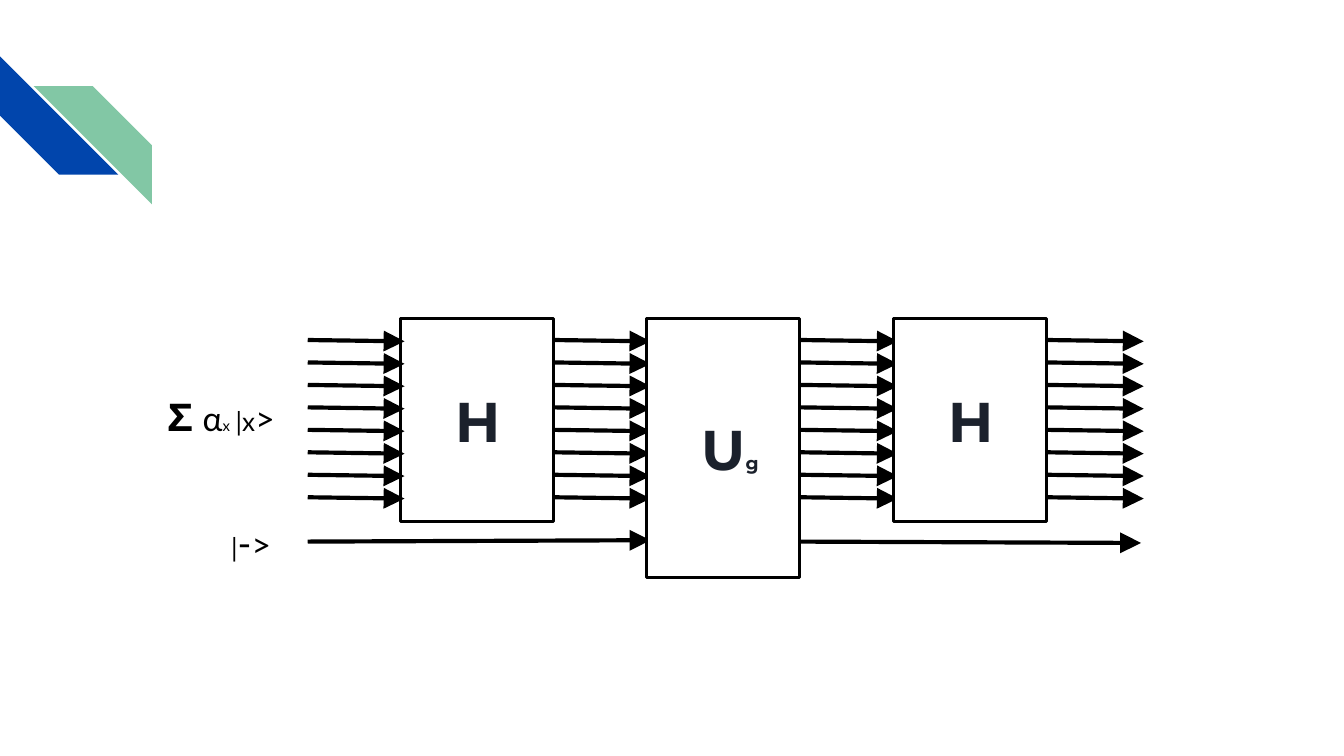
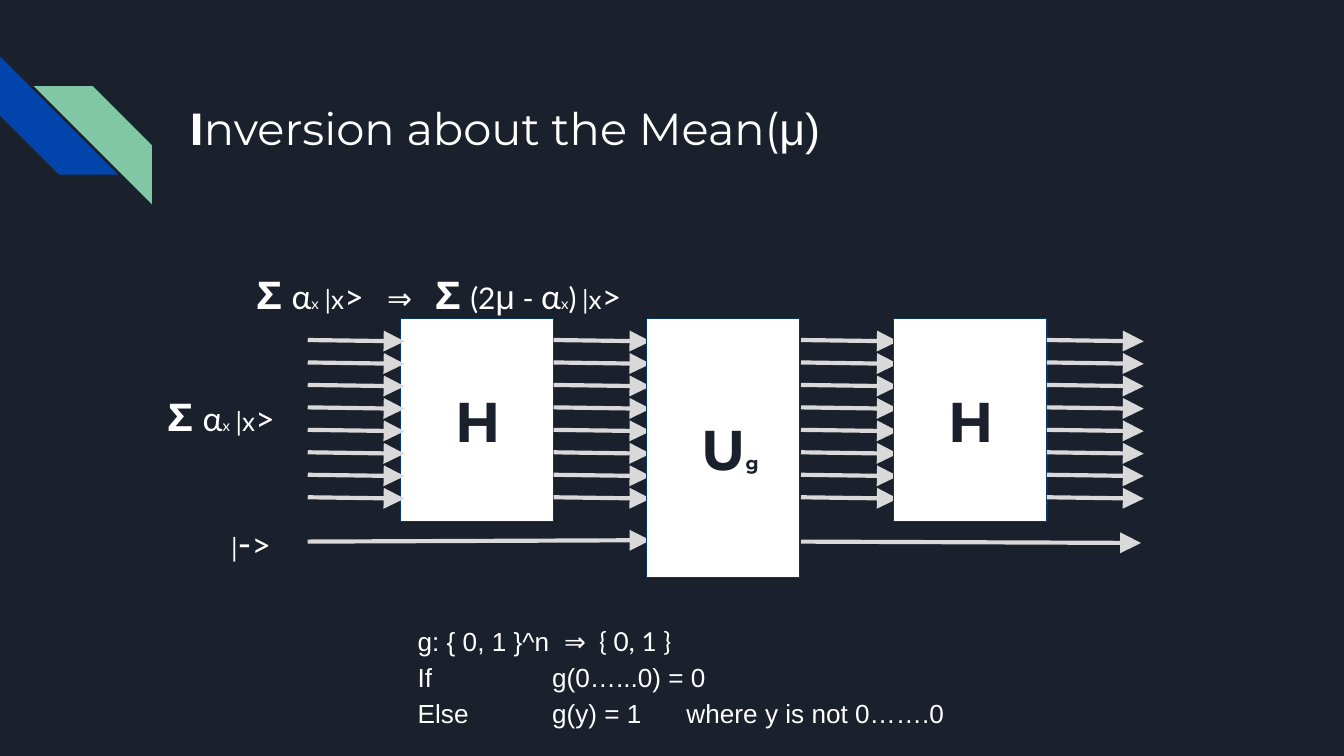
"""Builds two slides that show a quantum circuit for inversion about the mean."""
from lxml import etree
from pptx import Presentation
from pptx.dml.color import RGBColor
from pptx.enum.shapes import MSO_CONNECTOR, MSO_SHAPE
from pptx.enum.text import MSO_ANCHOR, PP_ALIGN
from pptx.oxml.ns import qn
from pptx.util import Inches, Pt

STRAIGHT = MSO_CONNECTOR.STRAIGHT
RECTANGLE, STRIPE = MSO_SHAPE.RECTANGLE, MSO_SHAPE.DIAGONAL_STRIPE
TOP, MIDDLE, LEFT = MSO_ANCHOR.TOP, MSO_ANCHOR.MIDDLE, PP_ALIGN.LEFT

COLORS = {"white": "FFFFFF", "black": "000000", "navy": "1B212C", "blue": "0145AC",
          "green": "82C7A5", "edge": "073763", "gray": "D9D9D9"}
LIGHT = {"page": "white", "text": "black", "wire": "black", "edge": "black", "edge_width": 1.5}
DARK = {"page": "navy", "text": "white", "wire": "gray", "edge": "edge", "edge_width": 0.75}

LATO, ARIAL, MONTSERRAT = "Lato", "Arial", "Montserrat"
KET = [(" ", 12, LATO), ("|x", 14, LATO), (">", 18, LATO)]
STATE = [("𝚺 ", 20, LATO), ("α", 18, LATO), ("x", 8, LATO)] + KET
MINUS = [(" ", 6, LATO), ("|", 14, LATO), ("-", 20, LATO), (">", 18, LATO)]
MAPPING = STATE + [
    ("\t⇒\t", 16, LATO), ("𝚺 ", 20, LATO), ("(2", 16, LATO), ("μ", 18, ARIAL),
    (" - ", 16, LATO), ("α", 18, LATO), ("x", 8, LATO), (")", 16, LATO)] + KET
TITLE = [("I", 24, MONTSERRAT, True), ("nversion about the Mean(", 24, MONTSERRAT),
         ("μ)", 24, ARIAL)]
RULES = [
    [("g: { 0, 1 }^n\t", 14, ARIAL), ("⇒\t{ 0, 1 }", 14, LATO)],
    [("If\tg(0…...0) = 0", 14, ARIAL)],
    [("Else\tg(y) = 1\twhere y is not 0…….0", 14, ARIAL)],
]
RULE_TABS = [(1.09, 1.35), (1, 2), (1, 2)]

H_LABEL = [("H", 30, MONTSERRAT, True)]
U_LABEL = [("U", 30, MONTSERRAT, True), ("g", 10, MONTSERRAT, True)]
GATE_TOP, GATE_WIDTH, H_HEIGHT, U_HEIGHT = 2.37, 1.14, 1.51, 1.93
STAGES = [
    (2.98, H_HEIGHT, H_LABEL, (4.12, 2.29), (2.29, 4.03, 4.84, 4.02)),
    (4.81, U_HEIGHT, U_LABEL, (5.96,), (5.96, 4.03, 8.49, 4.04)),
    (6.65, H_HEIGHT, H_LABEL, (7.79,), None),
]
WIRE_COUNT, WIRE_TOP, WIRE_LAST, WIRE_LENGTH, WIRE_DROP = 8, 2.53, 3.7, 0.72, 0.01


def rgb(name):
    return RGBColor.from_string(COLORS[name])


def write(shape, lines, color, anchor=TOP, inset=0.1, spacing=None, tabs=()):
    frame = shape.text_frame
    frame.word_wrap = True
    frame.vertical_anchor = anchor
    frame.margin_left = Inches(inset)
    frame.margin_right = frame.margin_top = frame.margin_bottom = Inches(0.1)
    for index, line in enumerate(lines):
        para = frame.add_paragraph() if index else frame.paragraphs[0]
        para.alignment = LEFT
        if spacing:
            para.line_spacing = spacing
        if tabs:
            stops = etree.SubElement(para._p.get_or_add_pPr(), qn("a:tabLst"))
            for position in tabs[index]:
                etree.SubElement(stops, qn("a:tab"), pos=str(Inches(position)), algn="l")
        for text, size, font, *bold in line:
            span = para.add_run()
            span.text = text
            span.font.size = Pt(size)
            span.font.name = font
            span.font.bold = bool(bold)
            span.font.color.rgb = rgb(color)


def add_text(page, place, lines, color, **options):
    box = page.shapes.add_textbox(*map(Inches, place))
    write(box, lines, color, **options)


def add_filled(page, kind, place, color):
    shape = page.shapes.add_shape(kind, *map(Inches, place))
    shape.shadow.inherit = False
    shape.fill.solid()
    shape.fill.fore_color.rgb = rgb(color)
    shape.line.fill.background()
    return shape


def add_arrow(page, ends, color):
    arrow = page.shapes.add_connector(STRAIGHT, *map(Inches, ends))
    arrow.line.color.rgb = rgb(color)
    arrow.line.width = Pt(2.25)
    etree.SubElement(arrow.line._get_or_add_ln(), qn("a:tailEnd"),
                     type="triangle", w="lg", len="lg")
    etree.SubElement(arrow._element.spPr, qn("a:effectLst"))


def add_page(deck, theme):
    page = deck.slides.add_slide(deck.slide_layouts[6])
    page.background.fill.solid()
    page.background.fill.fore_color.rgb = rgb(theme["page"])
    blue = add_filled(page, STRIPE, (0, 0.42, 0.88, 0.88), "blue")
    blue.rotation = 270
    green = add_filled(page, STRIPE, (0.25, 0.64, 0.88, 0.88), "green")
    green._element.spPr.find(qn("a:xfrm")).set("flipH", "1")
    return page


def add_circuit(page, theme):
    pitch = (WIRE_LAST - WIRE_TOP) / (WIRE_COUNT - 1)
    for left, height, label, bundles, ancilla in STAGES:
        gate = add_filled(page, RECTANGLE, (left, GATE_TOP, GATE_WIDTH, height), "white")
        gate.line.color.rgb = rgb(theme["edge"])
        gate.line.width = Pt(theme["edge_width"])
        write(gate, [label], "navy", anchor=MIDDLE, inset=0.41)
        for start in bundles:
            for row in range(WIRE_COUNT):
                y = WIRE_TOP + row * pitch
                add_arrow(page, (start, y, start + WIRE_LENGTH, y + WIRE_DROP), theme["wire"])
        if ancilla:
            add_arrow(page, ancilla, theme["wire"])
    add_text(page, (1.15, 2.83, 1.14, 0.39), [STATE], theme["text"])
    add_text(page, (1.6, 3.77, 0.57, 0.39), [MINUS], theme["text"])


def main():
    deck = Presentation()
    deck.slide_width = Inches(10)
    deck.slide_height = deck.slide_width * 9 // 16

    add_circuit(add_page(deck, LIGHT), LIGHT)

    page = add_page(deck, DARK)
    add_text(page, (1.31, 0.65, 7.69, 0.67), [TITLE], "white")
    add_text(page, (1.31, 1.59, 3.89, 0.51), [MAPPING], "white",
             inset=0.6, spacing=2.0, tabs=[(0.97, 1.33)])
    add_circuit(page, DARK)
    add_text(page, (3.01, 4.52, 5.67, 0.94), RULES, "white", spacing=1.15, tabs=RULE_TABS)
    deck.save("out.pptx")


if __name__ == "__main__":
    main()
